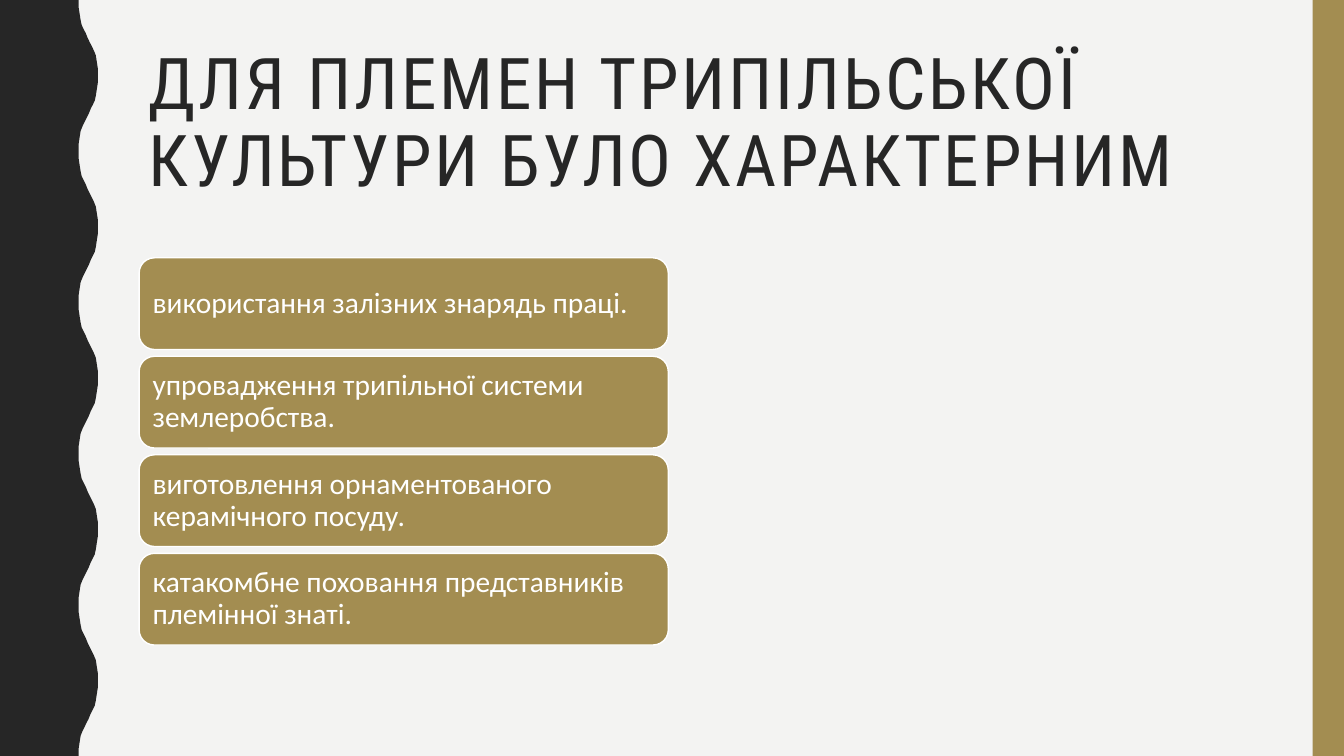
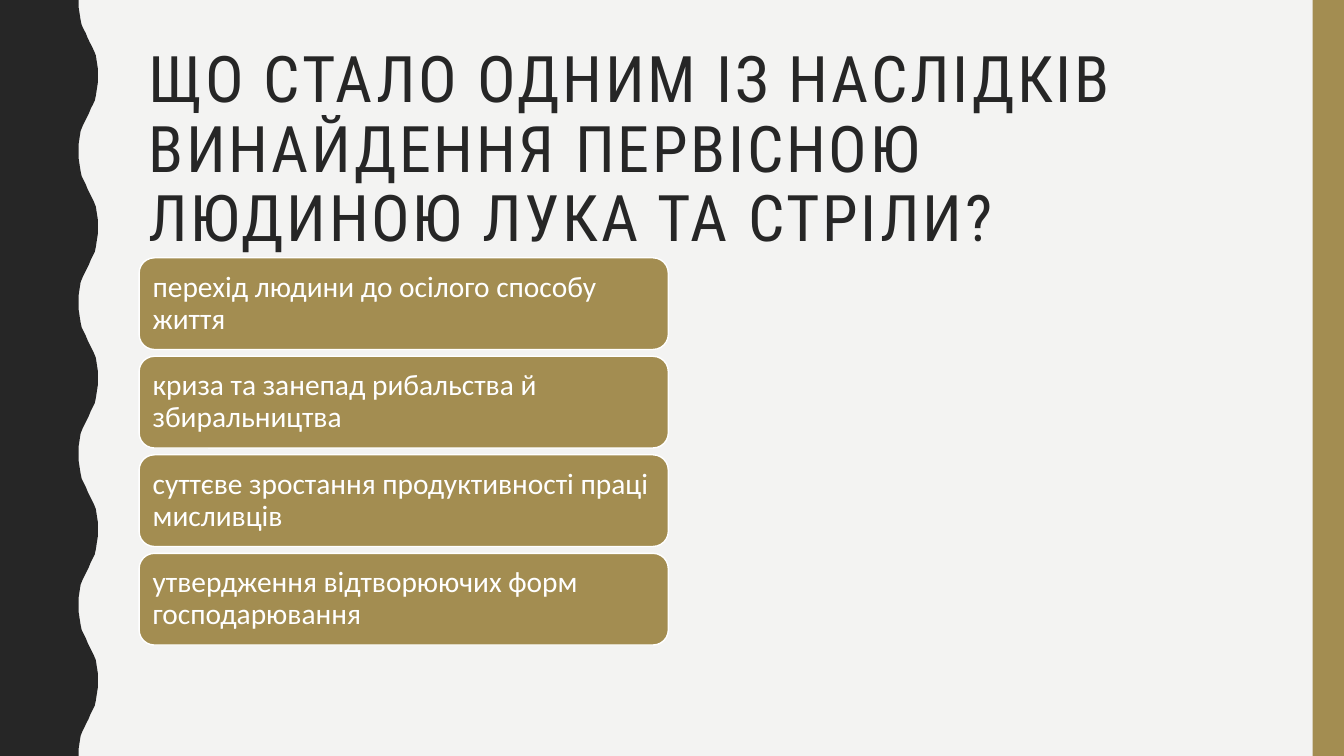
from dataclasses import dataclass

from pptx import Presentation
from pptx.dml.color import RGBColor
from pptx.enum.shapes import MSO_SHAPE
from pptx.enum.text import MSO_ANCHOR, MSO_AUTO_SIZE, PP_ALIGN
from pptx.presentation import Presentation as Deck
from pptx.shapes.autoshape import Shape
from pptx.slide import Slide, SlideLayout
from pptx.text.text import TextFrame
from pptx.util import Emu, Inches, Pt

WIDTH, HEIGHT = Inches(13.33), Inches(7.5)
COLORS = {"paper": "F3F3F2", "ink": "262626", "gold": "A38D51", "white": "FFFFFF"}
FONTS = {"title": "Roboto Condensed", "card": "Calibri"}
HALVES = 10
CREST = (
    (5.85, 0), (5.85, 0.93), (5.93, 1.87), (6, 2.67), (6.08, 3.33),
    (6.23, 3.87), (6.38, 4.4), (6.53, 5.07), (6.68, 5.6), (6.83, 6.13),
    (6.98, 6.67), (7.13, 7.33), (7.2, 8.13), (7.28, 9.07),
)


@dataclass(frozen=True)
class Box:
    left: float
    top: float
    width: float
    height: float

    def place(self) -> tuple[Emu, Emu, Emu, Emu]:
        return across(self.left), down(self.top), across(self.width), down(self.height)


@dataclass(frozen=True)
class Quiz:
    title: str
    size: float
    answers: tuple[str, ...]


HEAD = Box(10.28, 5.6, 83.5, 21.73)
STRIP = Box(97.67, 0, 2.33, 100)
CARD = Box(10.35, 34.1, 39.38, 12.13)
PITCH = 13.03

QUIZZES = (
    Quiz(
        "ДЛЯ ПЛЕМЕН ТРИПІЛЬСЬКОЇ КУЛЬТУРИ БУЛО ХАРАКТЕРНИМ",
        51,
        (
            "використання залізних знарядь праці.",
            "упровадження трипільної системи землеробства.",
            "виготовлення орнаментованого керамічного посуду.",
            "катакомбне поховання представників племінної знаті.",
        ),
    ),
    Quiz(
        "ЩО СТАЛО ОДНИМ ІЗ НАСЛІДКІВ ВИНАЙДЕННЯ ПЕРВІСНОЮ ЛЮДИНОЮ ЛУКА ТА СТРІЛИ?",
        45.9,
        (
            "перехід людини до осілого способу життя",
            "криза та занепад рибальства й збиральництва",
            "суттєве зростання продуктивності праці мисливців",
            "утвердження відтворюючих форм господарювання",
        ),
    ),
)


def across(share: float) -> Emu:
    return Emu(round(WIDTH * share / 100))


def down(share: float) -> Emu:
    return Emu(round(HEIGHT * share / 100))


def tint(name: str) -> RGBColor:
    return RGBColor.from_string(COLORS[name])


def paint(shape: Shape, fill: str, line: str | None = None) -> None:
    shape.shadow.inherit = False
    shape.fill.solid()
    shape.fill.fore_color.rgb = tint(fill)
    if line:
        shape.line.color.rgb = tint(line)
        shape.line.width = Pt(1)
    else:
        shape.line.fill.background()


def write(frame: TextFrame, text: str, size: float, font: str, color: str) -> None:
    frame.word_wrap = True
    line = frame.paragraphs[0]
    line.alignment = PP_ALIGN.LEFT
    line.line_spacing = 0.9
    run = line.add_run()
    run.text = text
    run.font.size = Pt(size)
    run.font.name = FONTS[font]
    run.font.color.rgb = tint(color)


def add_wave(slide: Slide) -> Shape:
    edge = []
    for half in range(HALVES):
        for x, y in CREST:
            flip = CREST[0][0] + CREST[-1][0] - x
            edge.append((across(flip if half % 2 else x), down(100 / HALVES * half + y)))
    edge += [(across(CREST[0][0]), HEIGHT), (0, HEIGHT)]
    pen = slide.shapes.build_freeform(0, 0)
    pen.add_line_segments(edge, close=True)
    wave = pen.convert_to_shape()
    paint(wave, "ink")
    return wave


def add_strip(slide: Slide) -> Shape:
    strip = slide.shapes.add_shape(MSO_SHAPE.RECTANGLE, *STRIP.place())
    paint(strip, "gold")
    return strip


def set_theme(deck: Deck, layout: SlideLayout, slide: Slide) -> None:
    master = deck.slide_master
    master.background.fill.solid()
    master.background.fill.fore_color.rgb = tint("paper")
    for band in (add_strip(slide), add_wave(slide)):
        master.shapes.element.insert(2, band.element)
    title = layout.placeholders[0]
    title.left, title.top, title.width, title.height = HEAD.place()


def add_title(slide: Slide, quiz: Quiz) -> None:
    title = slide.shapes.title
    frame = title.text_frame
    frame.auto_size = MSO_AUTO_SIZE.NONE
    frame.vertical_anchor = MSO_ANCHOR.TOP
    write(frame, quiz.title, quiz.size, "title", "ink")
    for props in title.element.xpath(".//a:rPr"):
        props.set("spc", "200")


def add_card(slide: Slide, row: int, text: str) -> None:
    box = Box(CARD.left, CARD.top + PITCH * row, CARD.width, CARD.height)
    card = slide.shapes.add_shape(MSO_SHAPE.ROUNDED_RECTANGLE, *box.place())
    paint(card, "gold", "white")
    frame = card.text_frame
    frame.vertical_anchor = MSO_ANCHOR.MIDDLE
    frame.margin_left = frame.margin_right = Inches(0.09)
    frame.margin_top = frame.margin_bottom = Inches(0.09)
    write(frame, text, 21, "card", "white")


def main() -> None:
    deck = Presentation()
    deck.slide_width, deck.slide_height = WIDTH, HEIGHT
    layout = deck.slide_layouts.get_by_name("Title Only")
    slides = [deck.slides.add_slide(layout) for _ in QUIZZES]
    set_theme(deck, layout, slides[0])
    for slide, quiz in zip(slides, QUIZZES):
        add_title(slide, quiz)
        for row, text in enumerate(quiz.answers):
            add_card(slide, row, text)
    deck.save("out.pptx")


if __name__ == "__main__":
    main()
